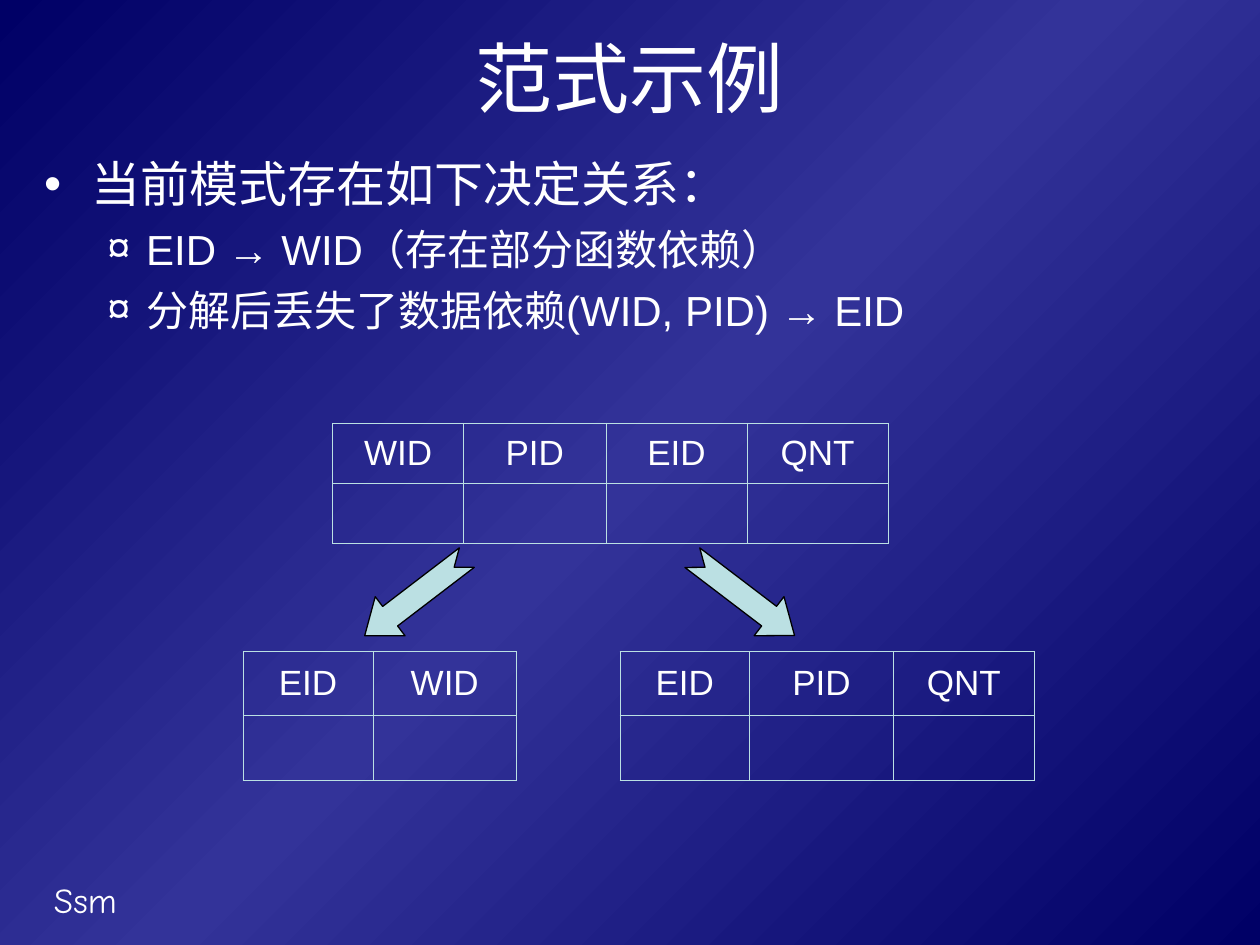
from lxml.etree import SubElement
from pptx import Presentation
from pptx.dml.color import RGBColor
from pptx.enum.shapes import MSO_SHAPE
from pptx.enum.text import MSO_ANCHOR, MSO_AUTO_SIZE, PP_ALIGN
from pptx.oxml import parse_xml
from pptx.oxml.ns import nsdecls, qn
from pptx.util import Inches, Pt

WHITE = RGBColor(0xFF, 0xFF, 0xFF)
BLACK = RGBColor(0, 0, 0)
PALE_TEAL = RGBColor(0xBB, 0xE0, 0xE3)
NAVY = RGBColor(0, 0, 0x66)
INDIGO = RGBColor(0x33, 0x33, 0x99)


def add_run(paragraph, text, size, font_name="Arial"):
    run = paragraph.add_run()
    run.text = text
    run.font.size = Pt(size)
    run.font.name = font_name
    run.font.color.rgb = WHITE


def add_schema(slide, left, top, row_height, columns):
    """Relation schema: a row of attribute names above an empty row."""
    widths = [Inches(width) for _, width in columns]
    table = slide.shapes.add_table(2, len(columns), Inches(left), Inches(top),
                                   sum(widths), Inches(2 * row_height)).table
    table.first_row = table.horz_banding = False
    for column, width in zip(table.columns, widths):
        column.width = width
    for cell in table.iter_cells():
        cell.vertical_anchor = MSO_ANCHOR.MIDDLE
        properties = cell._tc.get_or_add_tcPr()
        for side in ("lnL", "lnR", "lnT", "lnB"):
            properties.append(parse_xml(
                f'<a:{side} {nsdecls("a")} w="{Pt(0.45)}"><a:solidFill>'
                f'<a:srgbClr val="{PALE_TEAL}"/></a:solidFill></a:{side}>'))
        cell.fill.background()
    for index, (name, _) in enumerate(columns):
        paragraph = table.cell(0, index).text_frame.paragraphs[0]
        paragraph.alignment = PP_ALIGN.CENTER
        add_run(paragraph, name, 20)


presentation = Presentation()
presentation.slide_width = Inches(10)
presentation.slide_height = Inches(7.5)
slide = presentation.slides.add_slide(presentation.slide_layouts[1])

# Background: diagonal gradient, light in the middle
fill = slide.background.fill
fill.gradient()
fill.gradient_angle = 135
stop_list = slide.background._cSld.find(".//" + qn("a:gsLst"))
for stop in list(stop_list):
    stop_list.remove(stop)
for position, color in ((0, NAVY), (50, INDIGO), (100, NAVY)):
    stop = SubElement(stop_list, qn("a:gs"), pos=str(position * 1000))
    SubElement(stop, qn("a:srgbClr"), val=str(color))

# Author mark
mark = slide.shapes.add_textbox(Inches(0.33), Inches(6.92), Inches(2.08), Inches(0.44))
mark.text_frame.word_wrap = True
add_run(mark.text_frame.paragraphs[0], "Ssm", 20, "Comic Neue")

# Title
title = slide.shapes.title
title.left, title.top, title.width, title.height = map(Inches, (0.5, 0.17, 9, 0.87))
title.text_frame.auto_size = MSO_AUTO_SIZE.NONE
title.text_frame.vertical_anchor = MSO_ANCHOR.MIDDLE
title.text_frame.paragraphs[0].alignment = PP_ALIGN.CENTER
add_run(title.text_frame.paragraphs[0], "范式示例", 44)

# Bulleted list
body = slide.placeholders[1]
body.left, body.top, body.width, body.height = map(Inches, (0.25, 1.17, 9.55, 5.75))
body.text_frame.auto_size = MSO_AUTO_SIZE.NONE
items = [
    (0, "当前模式存在如下决定关系："),
    (1, "EID → WID（存在部分函数依赖）"),
    (1, "分解后丢失了数据依赖(WID, PID) → EID"),
]
# Per level: bullet, text size, left margin, hanging indent, space before
levels = [("•", 28, 0.38, -0.38, 0), ("¤", 24, 0.81, -0.31, 6)]
for index, (level, text) in enumerate(items):
    bullet, size, margin, indent, space = levels[level]
    paragraph = body.text_frame.paragraphs[0] if index == 0 else body.text_frame.add_paragraph()
    paragraph.level = level
    properties = paragraph._p.get_or_add_pPr()
    properties.set("marL", str(Inches(margin)))
    properties.set("indent", str(Inches(indent)))
    bullet_color = SubElement(properties, qn("a:buClr"))
    SubElement(bullet_color, qn("a:srgbClr"), val=str(WHITE))
    SubElement(properties, qn("a:buFont"), typeface="Arial")
    SubElement(properties, qn("a:buChar"), char=bullet)
    paragraph.space_before = Pt(space)
    add_run(paragraph, text, size)

# Original relation and its two parts
add_schema(slide, 2.64, 3.36, 0.475,
           [("WID", 1.04), ("PID", 1.13), ("EID", 1.12), ("QNT", 1.12)])
add_schema(slide, 1.93, 5.17, 0.51, [("EID", 1.03), ("WID", 1.14)])
add_schema(slide, 4.92, 5.17, 0.51, [("EID", 1.03), ("PID", 1.14), ("QNT", 1.12)])

# Decomposition arrows
for left, rotation in ((2.79, 142.6), (5.39, 37.3)):
    arrow = slide.shapes.add_shape(MSO_SHAPE.NOTCHED_RIGHT_ARROW, Inches(left),
                                   Inches(4.54), Inches(1.02), Inches(0.39))
    arrow.adjustments[0] = 0.5
    arrow.adjustments[1] = 0.65
    arrow.rotation = rotation
    arrow.shadow.inherit = False
    arrow.fill.solid()
    arrow.fill.fore_color.rgb = PALE_TEAL
    arrow.line.color.rgb = BLACK
    arrow.line.width = Pt(0.75)

presentation.save("out.pptx")
